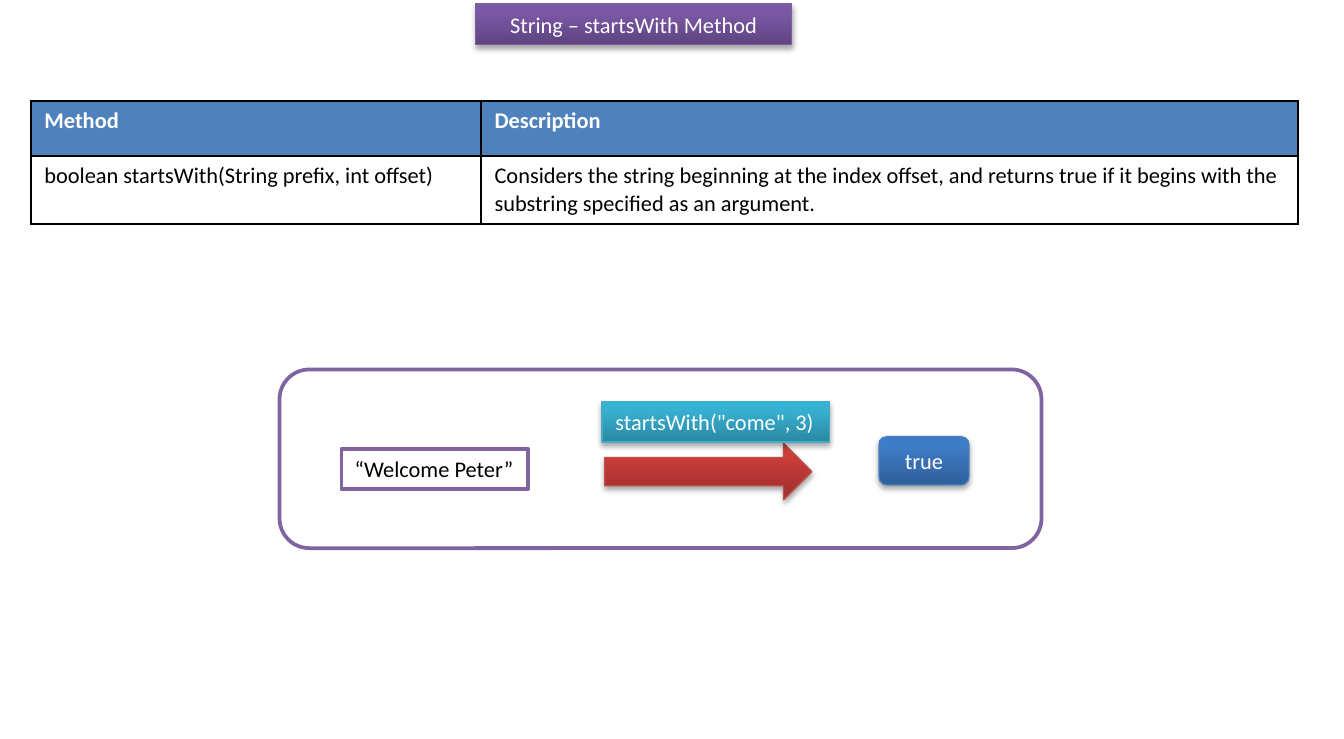
from lxml.etree import SubElement
from pptx import Presentation
from pptx.dml.color import RGBColor
from pptx.enum.shapes import MSO_SHAPE
from pptx.enum.text import MSO_ANCHOR, MSO_AUTO_SIZE, PP_ALIGN
from pptx.oxml.ns import qn
from pptx.util import Inches, Pt

COLORS = {
    "white": "FFFFFF",
    "black": "000000",
    "purple": "8064A2",
    "header": "4F81BD",
}
# Gradient stops from bottom to top, then the outline
GRADIENTS = {
    "purple": ("5F4480", "7B58A6", "7C57A8", "7D60A0"),
    "blue": ("2F5F99", "3D7CC7", "3A7CCB", "4B7EBC"),
    "red": ("9C2F2D", "CB3E3A", "CE3B37", "BF4C48"),
    "aqua": ("2A88A2", "37B1D2", "34B4D6", "46AAC5"),
}

presentation = Presentation()
presentation.slide_width = Inches(10)
presentation.slide_height = Inches(5.5)
COLUMN = presentation.slide_width / 100
ROW = presentation.slide_height / 55
slide = presentation.slides.add_slide(presentation.slide_layouts[5])


def style_shape(shape, finish):
    """Give a gradient with a soft shadow, or white with a purple outline."""
    shape.shadow.inherit = False
    if finish not in GRADIENTS:
        shape.fill.solid()
        shape.fill.fore_color.rgb = RGBColor.from_string(COLORS["white"])
        shape.line.color.rgb = RGBColor.from_string(COLORS["purple"])
        shape.line.width = Pt(2)
        return
    *stops, outline = GRADIENTS[finish]
    shape.line.color.rgb = RGBColor.from_string(outline)
    shape.line.width = Pt(0.75)
    shape.fill.gradient()
    shape.fill.gradient_angle = 90
    properties = shape._element.spPr
    stop_list = properties.find(qn("a:gradFill")).find(qn("a:gsLst"))
    for old_stop in list(stop_list):
        stop_list.remove(old_stop)
    for position, color in zip((0, 80, 100), stops):
        stop = SubElement(stop_list, qn("a:gs"), pos=str(position * 1000))
        SubElement(stop, qn("a:srgbClr"), val=color)
    shadow = SubElement(
        properties.find(qn("a:effectLst")), qn("a:outerShdw"),
        blurRad=str(Pt(3.1)), dist=str(Pt(1.8)), dir="5400000", rotWithShape="0")
    shadow_color = SubElement(shadow, qn("a:srgbClr"), val=COLORS["black"])
    SubElement(shadow_color, qn("a:alpha"), val="35000")


def write_text(text_frame, text, color, alignment=PP_ALIGN.LEFT, bold=False):
    text_frame.text = text
    paragraph = text_frame.paragraphs[0]
    paragraph.alignment = alignment
    font_format = {"name": "Calibri", "size": Pt(12), "bold": bold}
    for attribute, value in font_format.items():
        setattr(paragraph.runs[0].font, attribute, value)
    paragraph.runs[0].font.color.rgb = RGBColor.from_string(COLORS[color])


# Title
title = slide.shapes.title
title.left, title.top = int(35.4 * COLUMN), int(0.3 * ROW)
title.width, title.height = int(23.5 * COLUMN), int(3 * ROW)
style_shape(title, "purple")
write_text(title.text_frame, "String – startsWith Method", "white", PP_ALIGN.CENTER)
title.text_frame.vertical_anchor = MSO_ANCHOR.MIDDLE
title.text_frame.auto_size = MSO_AUTO_SIZE.NONE

# Method table
method_rows = [
    ("Method", "Description"),
    ("boolean startsWith(String prefix, int offset)",
     "Considers the string beginning at the index offset, and returns true if it "
     "begins with the substring specified as an argument."),
]
table = slide.shapes.add_table(
    2, 2, int(2.3 * COLUMN), int(7.5 * ROW), int(94.3 * COLUMN), int(9.1 * ROW)).table
for table_column, width in zip(table.columns, (33.5, 60.8)):
    table_column.width = int(width * COLUMN)
for table_row, height in zip(table.rows, (4.1, 5)):
    table_row.height = int(height * ROW)
for row_index, texts in enumerate(method_rows):
    is_header = row_index == 0
    for column_index, text in enumerate(texts):
        cell = table.cell(row_index, column_index)
        write_text(cell.text_frame, text, "white" if is_header else "black", bold=is_header)
        cell_properties = cell._tc.get_or_add_tcPr()
        for side in ("lnL", "lnR", "lnT", "lnB"):
            border = SubElement(cell_properties, qn(f"a:{side}"), w=str(Pt(1)))
            border_fill = SubElement(border, qn("a:solidFill"))
            SubElement(border_fill, qn("a:srgbClr"), val=COLORS["black"])
        cell.fill.solid()
        cell.fill.fore_color.rgb = RGBColor.from_string(
            COLORS["header" if is_header else "white"])

# Example: preset, left, top, width, height, finish, text, text colour, fits its text
example_shapes = [
    (MSO_SHAPE.ROUNDED_RECTANGLE, 20.8, 27.5, 56.7, 13.3, "outlined", "", "black", False),
    (MSO_SHAPE.RECTANGLE, 25.4, 33.4, 13.9, 3, "outlined", "“Welcome Peter”", "black", True),
    (MSO_SHAPE.ROUNDED_RECTANGLE, 65.4, 32.5, 6.7, 3.6, "blue", "true", "white", False),
    (MSO_SHAPE.RIGHT_ARROW, 45, 33, 15.4, 4.2, "red", "", "white", False),
    (MSO_SHAPE.RECTANGLE, 44.8, 29.9, 16.9, 3, "aqua", 'startsWith("come", 3)', "white", True),
]
for preset, left, top, width, height, finish, text, color, fits_text in example_shapes:
    shape = slide.shapes.add_shape(
        preset, int(left * COLUMN), int(top * ROW), int(width * COLUMN), int(height * ROW))
    style_shape(shape, finish)
    if text:
        write_text(shape.text_frame, text, color,
                   PP_ALIGN.LEFT if fits_text else PP_ALIGN.CENTER)
    if fits_text:
        frame_format = {"word_wrap": False, "vertical_anchor": MSO_ANCHOR.TOP,
                        "auto_size": MSO_AUTO_SIZE.SHAPE_TO_FIT_TEXT}
        for attribute, value in frame_format.items():
            setattr(shape.text_frame, attribute, value)

presentation.save("out.pptx")
